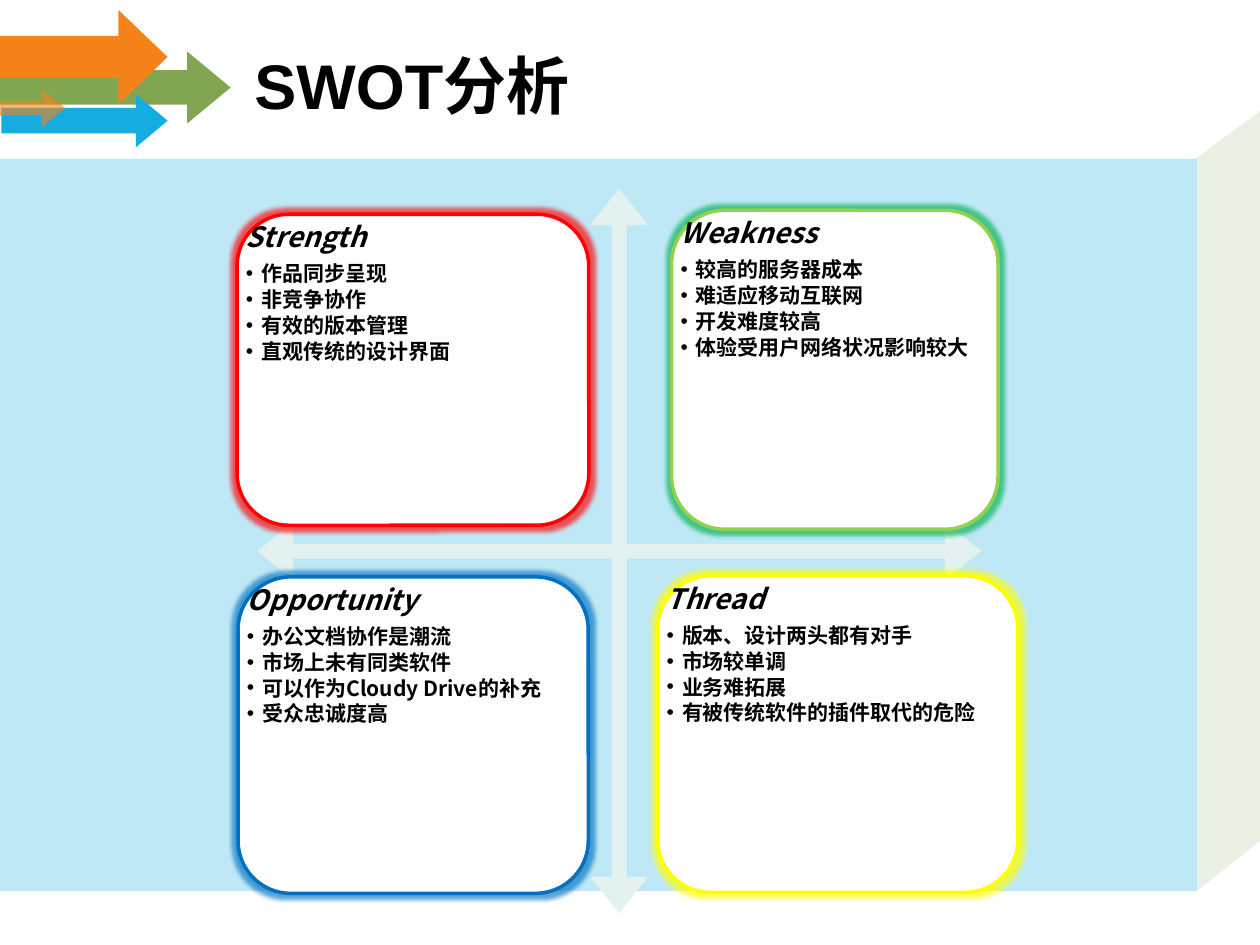
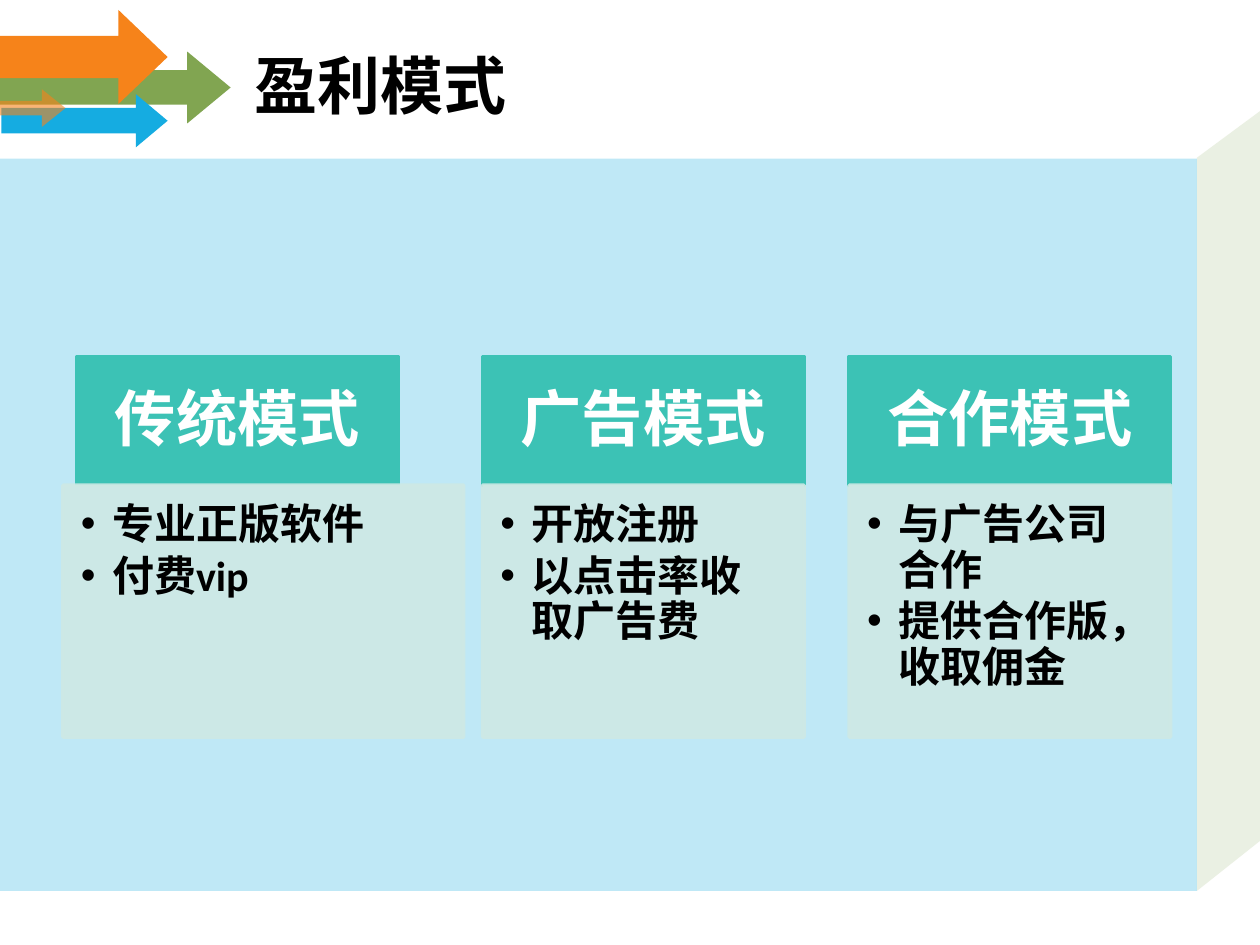
"""Build a two-slide deck with a SWOT matrix and three revenue models."""
from dataclasses import dataclass
from typing import Optional

from lxml.etree import SubElement
from pptx import Presentation
from pptx.dml.color import RGBColor
from pptx.enum.shapes import MSO_SHAPE as Preset
from pptx.enum.text import MSO_ANCHOR as Anchor, PP_ALIGN as Align
from pptx.oxml.ns import qn
from pptx.util import Cm, Pt


@dataclass(frozen=True)
class TextStyle:
    """Type settings of one kind of paragraph."""
    size: float
    font: str
    color: str = "000000"
    italic: bool = False
    space_after: float = 0
    bullet_indent: float = 0
    align: Align = Align.LEFT


@dataclass(frozen=True)
class Theme:
    """Colours and type styles of the deck."""
    blue: str = "15ACE1"
    green: str = "81A551"
    orange: str = "F6831A"
    white: str = "FFFFFF"
    axes: str = "E3F2F0"
    header: str = "3CC2B5"
    body: str = "CEE9E5"
    east_asian_font: str = "Noto Sans CJK SC"
    line_height: float = 1.08
    border: float = 2
    title: TextStyle = TextStyle(36, "Arial")
    card_heading: TextStyle = TextStyle(16, "Noto Sans CJK SC", italic=True, space_after=5.6)
    card_item: TextStyle = TextStyle(12, "Noto Sans CJK SC", space_after=1.8, bullet_indent=0.31)
    model_heading: TextStyle = TextStyle(35, "Calibri", "FFFFFF", align=Align.CENTER)
    model_item: TextStyle = TextStyle(24, "Calibri", space_after=3.6, bullet_indent=0.63)


THEME = Theme()


@dataclass(frozen=True)
class Box:
    """A frame in centimetres."""
    left: float
    top: float
    width: float
    height: float

    def lengths(self) -> tuple:
        """Return the frame as lengths."""
        return Cm(self.left), Cm(self.top), Cm(self.width), Cm(self.height)


@dataclass(frozen=True)
class Arrow:
    """One arrow of the corner ornament."""
    box: Box
    color: str
    shaft: float
    head: float
    opacity: int = 100


@dataclass(frozen=True)
class Card:
    """One quadrant of the SWOT matrix."""
    box: Box
    border: str
    glow: str
    heading: str
    items: tuple


@dataclass(frozen=True)
class RevenueModel:
    """One column of the revenue slide."""
    left: float
    heading: str
    items: tuple
    body_left: Optional[float] = None
    body_width: float = 6.48


ARROWS = (
    Arrow(Box(0, 1.04, 4.65, 1.45), THEME.green, 0.479, 0.604),
    Arrow(Box(0, 0.2, 3.38, 1.9), THEME.orange, 0.447, 0.523),
    Arrow(Box(0.03, 1.9, 3.35, 1.07), THEME.blue, 0.479, 0.597),
    Arrow(Box(0, 1.8, 1.32, 0.76), THEME.orange, 0.389, 0.625, 60),
)
SIDE_WALL = ((24.13, 3.18), (25.55, 2.13), (25.48, 16.89), (24.13, 17.96))
CARDS = (
    Card(Box(4.78, 4.32, 7.09, 6.27), "FF0000", "FF0000", "Strength",
         ("作品同步呈现", "非竞争协作", "有效的版本管理", "直观传统的设计界面")),
    Card(Box(13.54, 4.24, 6.58, 6.43), "92D050", "00B050", "Weakness",
         ("较高的服务器成本", "难适应移动互联网", "开发难度较高", "体验受用户网络状况影响较大")),
    Card(Box(4.8, 11.63, 7.06, 6.38), "0070C0", "0070C0", "Opportunity",
         ("办公文档协作是潮流", "市场上未有同类软件", "可以作为Cloudy Drive的补充", "受众忠诚度高")),
    Card(Box(13.26, 11.61, 7.26, 6.38), "FFFF00", "FFFF00", "Thread",
         ("版本、设计两头都有对手", "市场较单调", "业务难拓展", "有被传统软件的插件取代的危险")),
)
MODELS = (
    RevenueModel(1.55, "传统模式", ("专业正版软件", "付费vip"), 1.27, 8.08),
    RevenueModel(9.73, "广告模式", ("开放注册", "以点击率收取广告费")),
    RevenueModel(17.12, "合作模式", ("与广告公司合作", "提供合作版，收取佣金")),
)


def paint(shape, fill: str, border: Optional[str] = None, opacity: int = 100) -> None:
    """Set fill, border and opacity, and drop the shadow."""
    shape.shadow.inherit = False
    shape.fill.solid()
    shape.fill.fore_color.rgb = RGBColor.from_string(fill)
    if border:
        shape.line.color.rgb = RGBColor.from_string(border)
        shape.line.width = Pt(THEME.border)
    else:
        shape.line.fill.background()
    if opacity < 100:
        for color in shape.element.spPr.iter(qn("a:srgbClr")):
            SubElement(color, qn("a:alpha"), val=str(opacity * 1000))


def add_glow(shape, color: str) -> None:
    """Give a shape a soft coloured halo."""
    effects = shape.element.spPr.find(qn("a:effectLst"))
    glow = SubElement(effects, qn("a:glow"), rad=str(Pt(5)))
    tint = SubElement(glow, qn("a:srgbClr"), val=color)
    SubElement(tint, qn("a:alpha"), val="65000")


def add_preset(slide, preset: Preset, box: Box, fill: str,
               border: Optional[str] = None, opacity: int = 100):
    """Add a painted preset shape."""
    shape = slide.shapes.add_shape(preset, *box.lengths())
    paint(shape, fill, border, opacity)
    return shape


def format_paragraph(paragraph, style: TextStyle) -> None:
    """Apply a text style to a paragraph."""
    paragraph.alignment = style.align
    paragraph.line_spacing = Pt(style.size * THEME.line_height)
    paragraph.space_after = Pt(style.space_after)
    properties = paragraph._p.get_or_add_pPr()
    if style.bullet_indent:
        paragraph.level = 1
        properties.set("marL", str(Cm(style.bullet_indent)))
        properties.set("indent", str(-Cm(style.bullet_indent)))
        SubElement(properties, qn("a:buFont"), typeface="Arial")
        SubElement(properties, qn("a:buChar"), char="•")
    font = paragraph.font
    font.size, font.name = Pt(style.size), style.font
    font.bold, font.italic = True, style.italic
    font.color.rgb = RGBColor.from_string(style.color)
    SubElement(properties.find(qn("a:defRPr")), qn("a:ea"), typeface=THEME.east_asian_font)


def write(shape, lines: list, margins: tuple, anchor: Anchor = Anchor.TOP) -> None:
    """Write styled lines into a shape with left, top, right, bottom margins."""
    frame = shape.text_frame
    frame.word_wrap = True
    frame.vertical_anchor = anchor
    (frame.margin_left, frame.margin_top,
     frame.margin_right, frame.margin_bottom) = map(Cm, margins)
    for index, (text, style) in enumerate(lines):
        paragraph = frame.add_paragraph() if index else frame.paragraphs[0]
        paragraph.text = text
        format_paragraph(paragraph, style)


def decorate_layout(layout, slide) -> None:
    """Draw the shared backdrop and move it to the layout."""
    start, *corners = [(Cm(x), Cm(y)) for x, y in SIDE_WALL]
    builder = slide.shapes.build_freeform(*start)
    builder.add_line_segments(corners, close=True)
    wall = builder.convert_to_shape()
    paint(wall, THEME.green, opacity=16)
    backdrop = [wall, add_preset(slide, Preset.RECTANGLE, Box(0, 3.2, 24.13, 14.76),
                                 THEME.blue, opacity=27)]
    for arrow in ARROWS:
        shape = add_preset(slide, Preset.RIGHT_ARROW, arrow.box, arrow.color,
                           opacity=arrow.opacity)
        shape.adjustments[0], shape.adjustments[1] = arrow.shaft, arrow.head
        backdrop.append(shape)
    for shape in backdrop:
        layout.shapes.element.append(shape.element)


def add_titled_slide(presentation, layout, title: str):
    """Add a slide and set its title."""
    slide = presentation.slides.add_slide(layout)
    placeholder = slide.shapes.title
    (placeholder.left, placeholder.top,
     placeholder.width, placeholder.height) = Box(4.88, 0.28, 19.05, 3).lengths()
    write(placeholder, [(title, THEME.title)], (0.25, 0.13, 0.25, 0.13), Anchor.MIDDLE)
    return slide


def add_card(slide, card: Card) -> None:
    """Draw one SWOT quadrant with its text."""
    frame = add_preset(slide, Preset.ROUNDED_RECTANGLE, card.box, THEME.white, card.border)
    add_glow(frame, card.glow)
    text_box = slide.shapes.add_textbox(*card.box.lengths())
    lines = [(card.heading, THEME.card_heading)]
    lines += [(item, THEME.card_item) for item in card.items]
    write(text_box, lines, (0.18,) * 4)


def add_model(slide, model: RevenueModel) -> None:
    """Draw one revenue model as a header and a body."""
    header = add_preset(slide, Preset.RECTANGLE, Box(model.left, 7.19, 6.48, 2.59),
                        THEME.header, THEME.header)
    write(header, [(model.heading, THEME.model_heading)],
          (0.69, 0.41, 0.69, 0.41), Anchor.MIDDLE)
    body_left = model.left if model.body_left is None else model.body_left
    body = add_preset(slide, Preset.RECTANGLE, Box(body_left, 9.78, model.body_width, 5.08),
                      THEME.body, THEME.body, 90)
    write(body, [(item, THEME.model_item) for item in model.items], (0.36, 0.36, 0.48, 0.53))


def main() -> None:
    """Build and save the deck."""
    presentation = Presentation()
    presentation.slide_width, presentation.slide_height = Cm(25.4), Cm(19.05)
    layout = presentation.slide_layouts.get_by_name("Title Only")

    swot = add_titled_slide(presentation, layout, "SWOT分析")
    decorate_layout(layout, swot)
    axes = add_preset(swot, Preset.QUAD_ARROW, Box(5.18, 3.81, 14.6, 14.6), THEME.axes)
    for index, value in enumerate((0.02, 0.04, 0.05)):
        axes.adjustments[index] = value
    for card in CARDS:
        add_card(swot, card)

    revenue = add_titled_slide(presentation, layout, "盈利模式")
    for model in MODELS:
        add_model(revenue, model)
    presentation.save("out.pptx")


if __name__ == "__main__":
    main()
